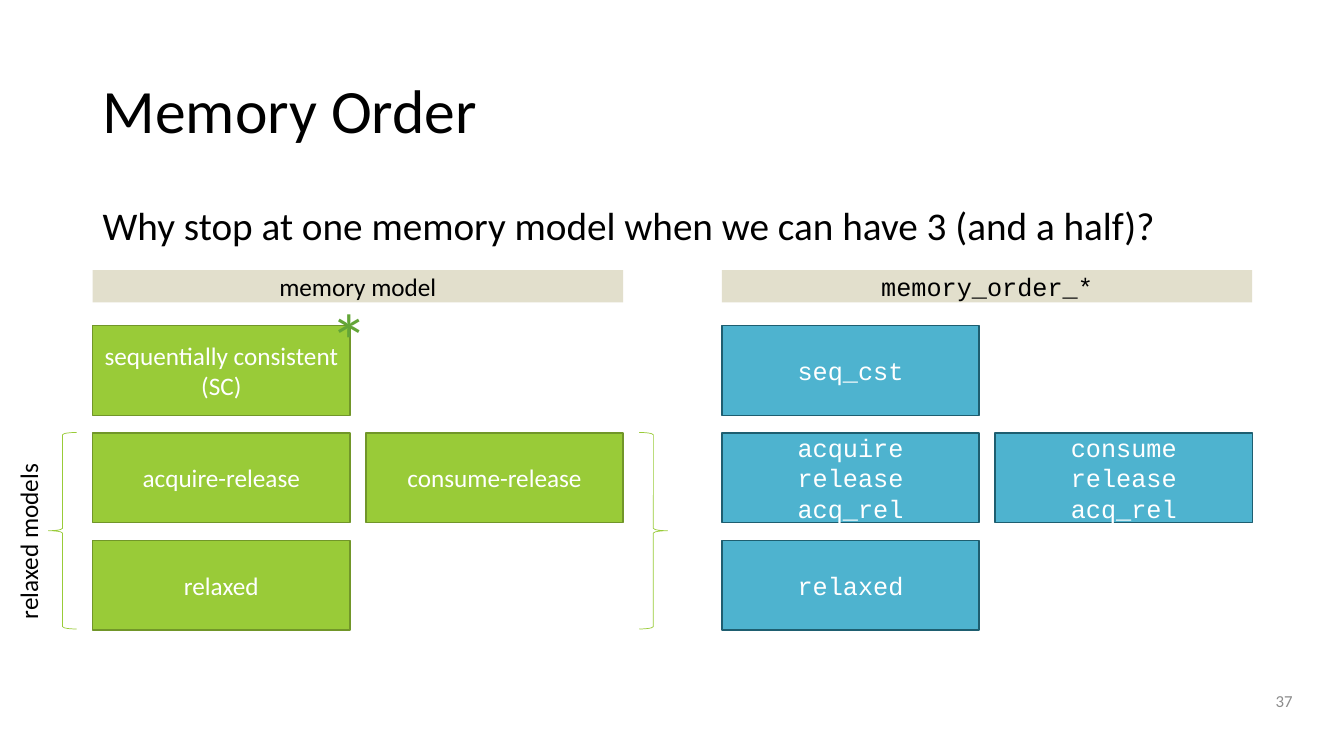
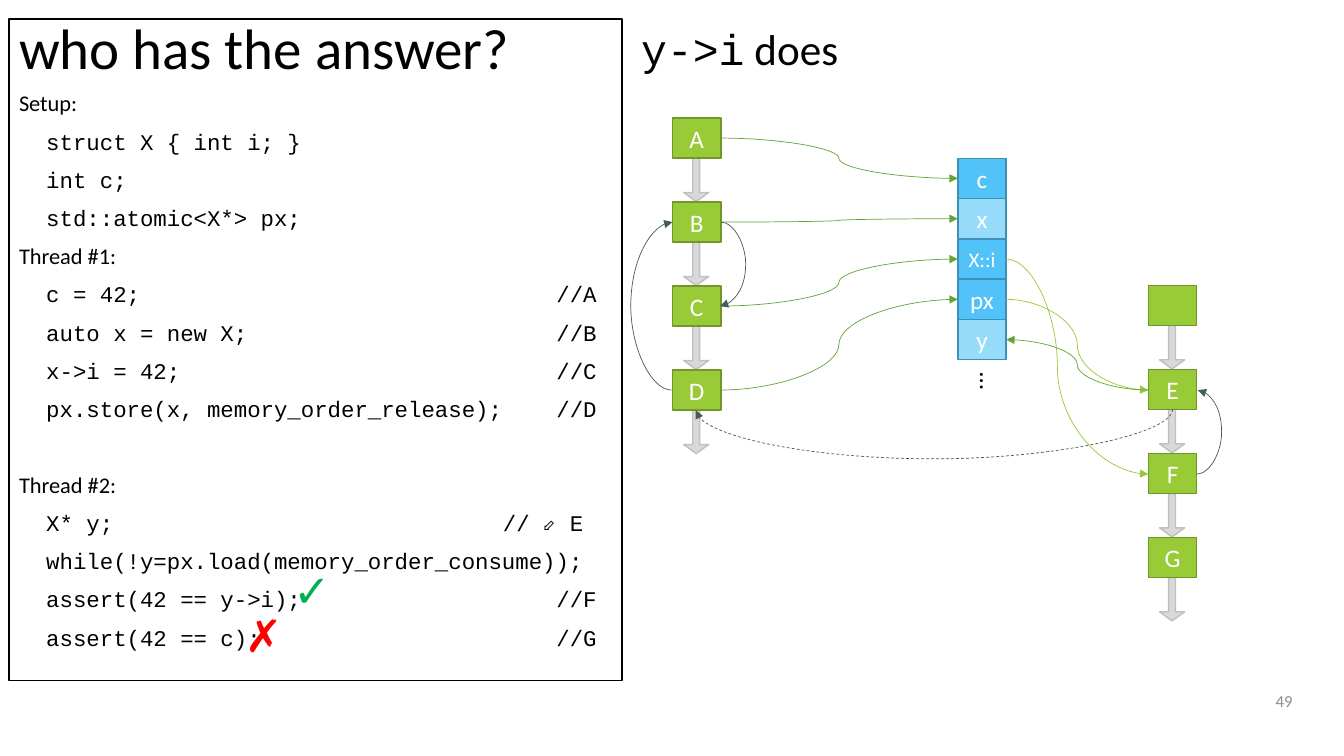
from dataclasses import dataclass

from lxml.etree import SubElement
from pptx import Presentation
from pptx.dml.color import RGBColor
from pptx.enum.dml import MSO_LINE
from pptx.enum.shapes import MSO_CONNECTOR, MSO_SHAPE
from pptx.enum.text import MSO_ANCHOR, PP_ALIGN
from pptx.oxml.ns import qn
from pptx.util import Inches, Pt


@dataclass(frozen=True)
class Theme:
    """Colours, fonts and type sizes shared by the slides."""
    black: str = "000000"
    white: str = "FFFFFF"
    number: str = "8C8C8C"
    green: str = "99CB38"
    green_edge: str = "719629"
    teal: str = "4EB3CF"
    teal_edge: str = "1E5E70"
    band: str = "E2DFCC"
    star: str = "63A537"
    order: str = "455F51"
    memory: str = "51C3F9"
    memory_local: str = "97DBFB"
    memory_edge: str = "3C90B8"
    arrow: str = "D9D9D9"
    arrow_edge: str = "BFBFBF"
    good: str = "00B050"
    bad: str = "FF0000"
    sans: str = "Calibri"
    mono: str = "Courier New"
    title: float = 44
    panel_title: float = 40.7
    answer: float = 30.8
    lead: float = 28
    label: float = 18
    small_label: float = 15
    code: float = 16
    footer: float = 12
    mark: float = 32
    asterisk: float = 54


THEME = Theme()
BOX_WIDTH, BOX_HEIGHT = 2.55, 0.89
NODE_WIDTH, NODE_HEIGHT = 0.48, 0.4
NODE_PITCH = 2.5 / 3


def style_run(run, size, color=THEME.black, font=THEME.sans):
    """Give a run its font, size and colour."""
    run.font.name = font
    run.font.size = Pt(size)
    run.font.color.rgb = RGBColor.from_string(color)


def write(frame, text, size, color=THEME.black, font=THEME.sans, align=PP_ALIGN.LEFT, spacing=1.0):
    """Fill a text frame with evenly styled paragraphs."""
    frame.text = text
    for paragraph in frame.paragraphs:
        paragraph.alignment = align
        paragraph.line_spacing = spacing
        for run in paragraph.runs:
            style_run(run, size, color, font)


def add_text(slide, box, text, size, anchor=MSO_ANCHOR.TOP, wrap=True, rotation=0, **style):
    """Place a text box at box and return its frame."""
    shape = slide.shapes.add_textbox(*map(Inches, box))
    shape.rotation = rotation
    frame = shape.text_frame
    frame.word_wrap = wrap
    frame.vertical_anchor = anchor
    write(frame, text, size, **style)
    return frame


def add_block(slide, box, fill=None, edge=None, text="", kind=MSO_SHAPE.RECTANGLE,
              size=THEME.label, color=THEME.white, font=THEME.sans, weight=1):
    """Place a preset shape with optional fill, edge and centred label."""
    shape = slide.shapes.add_shape(kind, *map(Inches, box))
    shape.shadow.inherit = False
    if fill:
        shape.fill.solid()
        shape.fill.fore_color.rgb = RGBColor.from_string(fill)
    else:
        shape.fill.background()
    if edge:
        shape.line.color.rgb = RGBColor.from_string(edge)
        shape.line.width = Pt(weight)
    else:
        shape.line.fill.background()
    if text:
        frame = shape.text_frame
        frame.word_wrap = True
        frame.vertical_anchor = MSO_ANCHOR.MIDDLE
        frame.margin_left = frame.margin_right = Inches(0.04)
        write(frame, text, size, color, font, PP_ALIGN.CENTER)
    return shape


def add_curve(slide, begin, end, color, bend=0.5, dashed=False, rotation=0):
    """Draw a curved arrow; bend is its turning point as a share of its width."""
    connector = slide.shapes.add_connector(MSO_CONNECTOR.CURVE, *map(Inches, begin + end))
    connector.line.color.rgb = RGBColor.from_string(color)
    connector.line.width = Pt(0.5)
    if dashed:
        connector.line.dash_style = MSO_LINE.DASH
    properties = connector._element.spPr
    properties.find(qn("a:xfrm")).set("rot", str(rotation * 60000))
    adjustments = properties.find(qn("a:prstGeom")).get_or_add_avLst()
    SubElement(adjustments, qn("a:gd"), name="adj1", fmla=f"val {round(bend * 100000)}")
    SubElement(connector.line._get_or_add_ln(), qn("a:tailEnd"), type="triangle")
    SubElement(properties, qn("a:effectLst"))


def add_slide(presentation, number):
    """Add a blank slide with its number."""
    slide = presentation.slides.add_slide(presentation.slide_layouts[6])
    add_text(slide, (9.92, 6.75, 3, 0.4), str(number), THEME.footer, MSO_ANCHOR.MIDDLE,
             color=THEME.number, align=PP_ALIGN.RIGHT)
    return slide


def model_column(slide, left, heading, cells, fill, edge, font):
    """Draw a headed grid of boxes; cells maps (row, column) to a label."""
    top, row_pitch, column_pitch = 3.23, 1.065, 2.71
    add_block(slide, (left, 2.68, 5.26, 0.32), THEME.band, text=heading,
              color=THEME.black, font=font)
    for (row, column), label in cells.items():
        box = (left + column * column_pitch, top + row * row_pitch, BOX_WIDTH, BOX_HEIGHT)
        add_block(slide, box, fill, edge, label, font=font)


def memory_order_slide(presentation):
    """Compare the memory models with their memory_order names."""
    slide = add_slide(presentation, 37)
    add_text(slide, (0.92, 0.4, 11.5, 1.45), "Memory Order", THEME.title,
             MSO_ANCHOR.MIDDLE, spacing=0.9)
    add_text(slide, (0.92, 2, 11.5, 0.6),
             "Why stop at one memory model when we can have 3 (and a half)?", THEME.lead, spacing=0.9)
    model_column(slide, 0.92, "memory model", {
        (0, 0): "sequentially consistent (SC)", (1, 0): "acquire-release",
        (1, 1): "consume-release", (2, 0): "relaxed",
    }, THEME.green, THEME.green_edge, THEME.sans)
    model_column(slide, 7.16, "memory_order_*", {
        (0, 0): "seq_cst", (1, 0): "acquire\nrelease\nacq_rel",
        (1, 1): "consume\nrelease\nacq_rel", (2, 0): "relaxed",
    }, THEME.teal, THEME.teal_edge, THEME.mono)
    add_text(slide, (3.18, 2.86, 0.58, 1.01), "*", THEME.asterisk, wrap=False, color=THEME.star)
    for left, kind in ((0.48, MSO_SHAPE.LEFT_BRACE), (6.34, MSO_SHAPE.RIGHT_BRACE)):
        add_block(slide, (left, 4.29, 0.28, 1.95), edge=THEME.green, kind=kind, weight=0.5)
    add_text(slide, (-0.6, 5.16, 1.76, 0.4), "relaxed models", THEME.label,
             wrap=False, rotation=270)


def code_panel(slide, left, top, width, height):
    """Draw the framed program listing with its verdict marks."""
    sections = {
        "Setup:": ("struct X { int i; }", "int c;", "std::atomic<X*> px;"),
        "Thread #1:": ("c = 42;\t//A", "auto x = new X;\t//B", "x->i = 42;\t//C",
                       "px.store(x, memory_order_release);\t//D"),
        "Thread #2:": ("X* y;\t// \u2b03 E", "while(!y=px.load(memory_order_consume));",
                       "assert(42 == y->i);\t//F", "assert(42 == c);\t//G"),
    }
    lines = []
    for heading, statements in sections.items():
        lines += [heading] + ["\t" + statement for statement in statements]
    add_block(slide, (left, top, width, height), THEME.white, THEME.black)
    add_text(slide, (left, top, width, 0.67), "who has the answer?", THEME.panel_title,
             MSO_ANCHOR.MIDDLE, spacing=0.8)
    frame = add_text(slide, (left, top + 0.68, width, height - 0.68), "\n".join(lines),
                     THEME.code, spacing=0.9)
    for paragraph in frame.paragraphs:
        paragraph.space_before = Pt(37 if paragraph.text == "Thread #2:" else 10)
        if paragraph.text in sections:
            continue
        comment_stop = 4.8 if paragraph.text.endswith(" E") else 5.33
        tab_list = SubElement(paragraph._p.get_or_add_pPr(), qn("a:tabLst"))
        for stop in (0.27, comment_stop):
            SubElement(tab_list, qn("a:tab"), pos=str(Inches(stop)), algn="l")
        for run in paragraph.runs:
            run.font.name = THEME.mono
    for mark, x, y, color in (("\u2713", 2.72, 5.34, THEME.good), ("\u2717", 2.24, 5.79, THEME.bad)):
        add_text(slide, (left + x, top + y, 0.55, 0.64), mark, THEME.mark, wrap=False, color=color)


def thread_column(slide, left, top, labels):
    """Draw a thread as nodes, each followed by a down arrow."""
    for index, label in enumerate(labels):
        node_top = top + index * NODE_PITCH
        arrow = add_block(slide, (left + 0.11, node_top + NODE_HEIGHT, 0.25, 0.43), THEME.arrow,
                          THEME.arrow_edge, kind=MSO_SHAPE.DOWN_ARROW)
        arrow.adjustments[0], arrow.adjustments[1] = 0.27, 0.36
        add_block(slide, (left, node_top, NODE_WIDTH, NODE_HEIGHT),
                  THEME.green, THEME.green_edge, label)


def memory_column(slide, left, top):
    """Draw the stack of memory cells with its continuation dots."""
    cells = ("c", "x", "X::i", "px", "y")
    for index, label in enumerate(cells):
        fill = THEME.memory_local if label in "xy" else THEME.memory
        size = THEME.small_label if label == "X::i" else THEME.label
        add_block(slide, (left, top + index * NODE_HEIGHT, NODE_WIDTH, NODE_HEIGHT),
                  fill, THEME.memory_edge, label, size=size)
    add_text(slide, (left + 0.13, top + 2.02, 0.38, 0.4), "\u2026", THEME.label,
             wrap=False, rotation=90)


def access_arrows(slide):
    """Connect thread steps with memory cells and with each other."""
    step = {name: 1.37 + index * NODE_PITCH for index, name in enumerate("ABCD")}
    step.update({name: 3.87 + index * NODE_PITCH for index, name in enumerate("EFG")})
    cell = {name: 1.77 + index * NODE_HEIGHT for index, name in enumerate(("c", "x", "X::i", "px", "y"))}
    for writer, target in zip("ABCD", ("c", "x", "X::i", "px")):
        add_curve(slide, (7.14, step[writer]), (9.5, cell[target]), THEME.star)
    add_curve(slide, (9.98, cell["px"]), (11.39, step["E"]), THEME.green)
    add_curve(slide, (9.98, cell["X::i"]), (11.39, step["F"]), THEME.green, 0.36)
    add_curve(slide, (11.39, step["E"]), (9.98, cell["y"]), THEME.star)
    add_curve(slide, (7.15, step["B"]), (7.14, step["C"]), THEME.order, -25)
    add_curve(slide, (6.66, step["D"]), (6.67, step["B"]), THEME.order, -41)
    add_curve(slide, (11.87, step["F"]), (11.88, step["E"]), THEME.order, 25)
    add_curve(slide, (9.26, 1.7), (9.27, 6.43), THEME.order, 50, dashed=True, rotation=90)


def answer_slide(presentation):
    """Show the listing beside the ordering graph of its two threads."""
    slide = add_slide(presentation, 49)
    code_panel(slide, 0.09, 0.19, 6.08, 6.56)
    frame = add_text(slide, (6.26, 0.18, 2.22, 0.73), "y->i", THEME.answer, MSO_ANCHOR.MIDDLE,
                     font=THEME.mono, spacing=0.7)
    verb = frame.paragraphs[0].add_run()
    verb.text = " does"
    style_run(verb, THEME.answer)
    thread_column(slide, 6.67, 1.17, "ABCD")
    thread_column(slide, 11.39, 2.83, ("", "E", "F", "G"))
    memory_column(slide, 9.5, 1.57)
    access_arrows(slide)


def main():
    """Build and save the presentation."""
    presentation = Presentation()
    presentation.slide_width = Inches(13.33)
    presentation.slide_height = Inches(7.5)
    memory_order_slide(presentation)
    answer_slide(presentation)
    presentation.save("out.pptx")


main()
